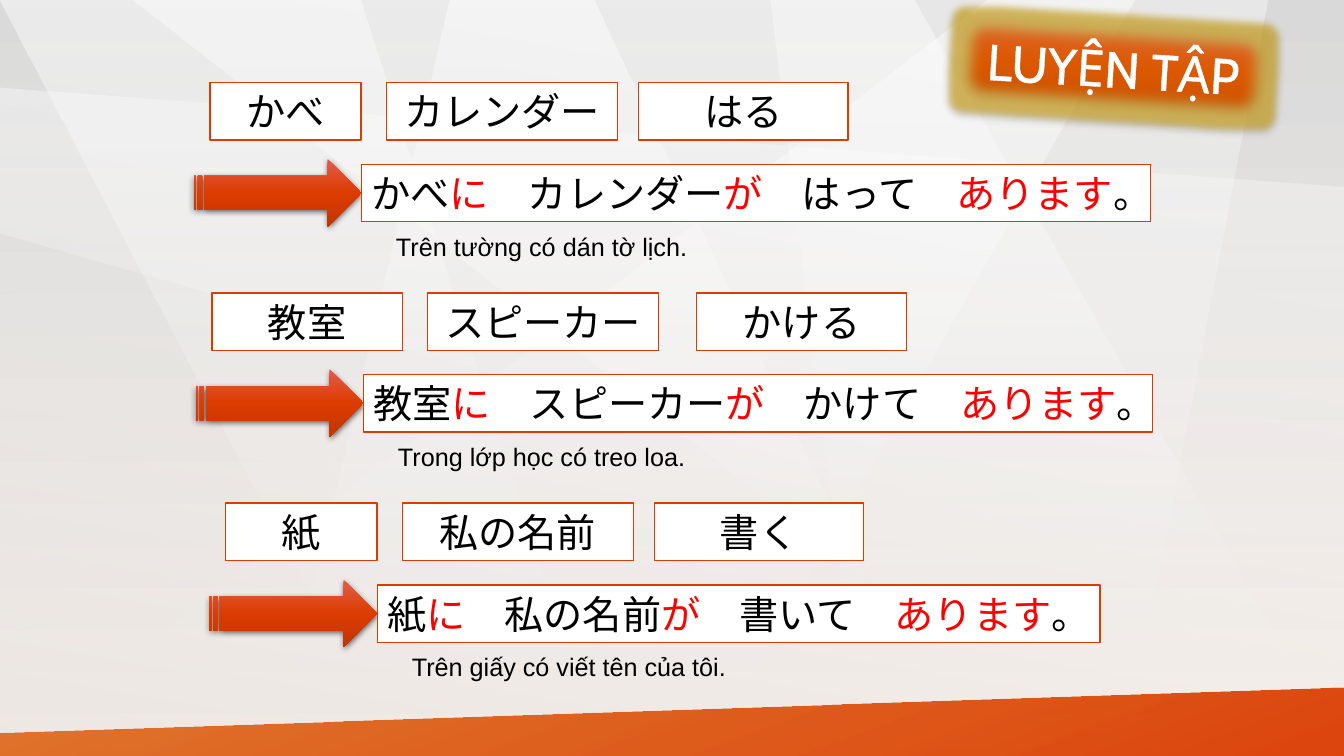
from lxml import etree
from pptx import Presentation
from pptx.dml.color import RGBColor
from pptx.enum.lang import MSO_LANGUAGE_ID as Language
from pptx.enum.shapes import MSO_SHAPE as Shape
from pptx.enum.text import MSO_ANCHOR as Anchor, MSO_AUTO_SIZE as AutoSize, PP_ALIGN as Align
from pptx.oxml.ns import qn
from pptx.util import Cm, Pt

SLIDE_WIDTH, SLIDE_HEIGHT = 33.87, 19.05
ORANGE, RED, BLACK, WHITE = "DC3C00", "FF0000", "000000", "FFFFFF"

# Translucent facets of the backdrop: opacity at the top, then corners in cm
FACETS = [
    (50, [(24.87, 0), (0, 19.05), (17.81, 19.05), (28.58, 0)]),
    (50, [(0, 0), (9.09, 0), (15.09, 19.05), (9.93, 19.05)]),
    (50, [(3.35, 0), (23.04, 0), (33.87, 19.05), (27.51, 19.05)]),
    (40, [(19.43, 0), (21.74, 19.05), (28.32, 19.05), (31.93, 0)]),
    (50, [(14.96, 0), (11.33, 0), (6.91, 19.05), (23.85, 19.05)]),
    (40, [(0, 2.21), (33.87, 4.72), (33.87, 15.49), (0, 5.89)]),
]
BAND = [(0, 18.47), (33.87, 17.32), (33.87, 19.05), (0, 19.05)]

# Left edge, first word width, gap before the last word, sentence width,
# the three words, the conjugated verb, the translation
EXERCISES = [
    (4.88, 3.81, 0.53, 19.89, ["かべ", "カレンダー", "はる"], "はって",
     "Trên tường có dán tờ lịch."),
    (4.93, 4.8, 0.96, 19.89, ["教室", "スピーカー", "かける"], "かけて",
     "Trong lớp học có treo loa."),
    (5.28, 3.81, 0.53, 18.21, ["紙", "私の名前", "書く"], "書いて",
     "Trên giấy có viết tên của tôi."),
]


def color(value):
    return RGBColor.from_string(value)


def add_child(parent, tag, **attributes):
    child = etree.SubElement(parent, qn(tag))
    for name, value in attributes.items():
        child.set(name, str(value))
    return child


def add_color(parent, value, opacity=100):
    child = add_child(parent, "a:srgbClr", val=value)
    if opacity < 100:
        add_child(child, "a:alpha", val=opacity * 1000)


def fill_gradient(fill, element, stops, angle=90):
    """Fill with (position, colour, opacity) stops at a clockwise angle."""
    fill.gradient()
    gradient = next(element.iter(qn("a:gradFill")))
    for child in list(gradient):
        gradient.remove(child)
    stop_list = add_child(gradient, "a:gsLst")
    for position, value, opacity in stops:
        add_color(add_child(stop_list, "a:gs", pos=position * 1000), value, opacity)
    add_child(gradient, "a:lin", ang=angle * 60000, scaled=0)


def add_shadow(effects, opacity, blur, distance):
    shadow = add_child(effects, "a:outerShdw", blurRad=Pt(blur), dist=Pt(distance),
                       dir=5400000, rotWithShape=0)
    add_color(shadow, BLACK, opacity)


def add_plain_shape(slide, kind, left, top, width, height):
    shape = slide.shapes.add_shape(kind, Cm(left), Cm(top), Cm(width), Cm(height))
    shape.shadow.inherit = False
    shape.line.fill.background()
    return shape


def add_polygon(slide, points, stops, angle=90):
    corners = [(Cm(x), Cm(y)) for x, y in points]
    builder = slide.shapes.build_freeform(*corners[0])
    builder.add_line_segments(corners[1:], close=True)
    shape = builder.convert_to_shape()
    shape.shadow.inherit = False
    shape.line.fill.background()
    fill_gradient(shape.fill, shape._element, stops, angle)


def write_runs(shape, runs, size, align=Align.LEFT, font_name="Arial", language=Language.JAPANESE):
    frame = shape.text_frame
    frame.word_wrap = True
    paragraph = frame.paragraphs[0]
    paragraph.alignment = align
    for text, value in runs:
        run = paragraph.add_run()
        run.text = text
        run.font.name = font_name
        run.font.size = Pt(size)
        run.font.color.rgb = color(value)
        run.font.language_id = language
    return paragraph


def add_text_card(slide, left, top, width, height, runs, align):
    card = add_plain_shape(slide, Shape.RECTANGLE, left, top, width, height)
    card.fill.solid()
    card.fill.fore_color.rgb = color(WHITE)
    card.line.color.rgb = color(ORANGE)
    card.line.width = Pt(1)
    card.text_frame.vertical_anchor = Anchor.TOP
    card.text_frame.auto_size = AutoSize.SHAPE_TO_FIT_TEXT
    write_runs(card, runs, 28, align)


def add_backdrop(slide, left, top, width, height):
    fill_gradient(slide.background.fill, slide.element,
                  [(0, "D9D9D9", 50), (100, "FCF5EF", 100)])
    for opacity, points in FACETS:
        add_polygon(slide, [(left + x, top + y) for x, y in points],
                    [(0, WHITE, opacity), (100, WHITE, 0)])
    veil = add_plain_shape(slide, Shape.RECTANGLE, left, top, width, height)
    fill_gradient(veil.fill, veil._element, [(0, "BFBFBF", 25), (100, WHITE, 0)], 280)
    add_polygon(slide, [(left + x, top + y) for x, y in BAND],
                [(0, "DD5900", 80), (100, ORANGE, 95)], 70)


def add_exercise(slide, left, top, exercise):
    _, first_width, last_gap, sentence_width, words, verb, translation = exercise

    # Row of given words
    word_left = left + 0.41
    widths, gaps = [first_width, 5.82, 5.28], [0.64, last_gap, 0]
    for word, width, gap in zip(words, widths, gaps):
        add_text_card(slide, word_left, top, width, 1.45, [(word, BLACK)], Align.CENTER)
        word_left += width + gap

    # Arrow to the answer
    arrow = add_plain_shape(slide, Shape.STRIPED_RIGHT_ARROW, left, top + 1.93, 4.23, 1.7)
    fill_gradient(arrow.fill, arrow._element,
                  [(0, "E25C4B", 100), (50, ORANGE, 100), (100, "C33500", 100)])
    add_shadow(arrow._element.spPr.find(qn("a:effectLst")), 63, 4.5, 1.5)

    # Answer sentence with the grammar in red
    runs = [(words[0], BLACK), ("に", RED), (f"　{words[1]}", BLACK), ("が", RED),
            (f"　{verb}　", BLACK), ("あります", RED), ("。", BLACK)]
    add_text_card(slide, left + 4.23, top + 2.06, sentence_width, 1.45, runs, Align.LEFT)

    # Translation
    note = slide.shapes.add_textbox(Cm(left + 4.85), Cm(top + 3.62), Cm(11.63), Cm(1.02))
    write_runs(note, [(translation, BLACK)], 18, language=Language.VIETNAMESE)


def add_title_badge(slide, left, top, width, height, angle):
    badge = add_plain_shape(slide, Shape.ROUNDED_RECTANGLE, left, top, width, height)
    badge.rotation = angle
    fill_gradient(badge.fill, badge._element,
                  [(0, "E36F4B", 100), (50, "DD5900", 100), (100, "C44F00", 100)])
    effects = badge._element.spPr.find(qn("a:effectLst"))
    add_color(add_child(effects, "a:glow", rad=Pt(11)), "D7A815", 60)
    add_shadow(effects, 35, 3.1, 1.8)
    add_child(effects, "a:softEdge", rad=Pt(10))

    # Title text above the badge
    title = slide.shapes.title
    title.left, title.top, title.width, title.height = map(Cm, (left, top, width, height))
    title.rotation = angle
    title.text_frame.vertical_anchor = Anchor.MIDDLE
    title.text_frame.auto_size = AutoSize.NONE
    paragraph = write_runs(title, [("LUYỆN TẬP", WHITE)], 36, Align.CENTER, "Cabin",
                           Language.VIETNAMESE)
    outline = etree.Element(qn("a:ln"), w=str(Pt(1.45)))
    add_color(add_child(outline, "a:solidFill"), WHITE)
    paragraph.runs[0].font._element.insert(0, outline)
    slide.shapes._spTree.append(title._element)


def main():
    presentation = Presentation()
    presentation.slide_width = Cm(SLIDE_WIDTH)
    presentation.slide_height = Cm(SLIDE_HEIGHT)
    slide = presentation.slides.add_slide(presentation.slide_layouts[5])
    add_backdrop(slide, 0, 0, SLIDE_WIDTH, SLIDE_HEIGHT)
    for index, exercise in enumerate(EXERCISES):
        add_exercise(slide, exercise[0], 2.08 + 5.3 * index, exercise)
    add_title_badge(slide, 24.13, 0.56, 7.85, 2.29, 3.6)
    presentation.save("out.pptx")


if __name__ == "__main__":
    main()
